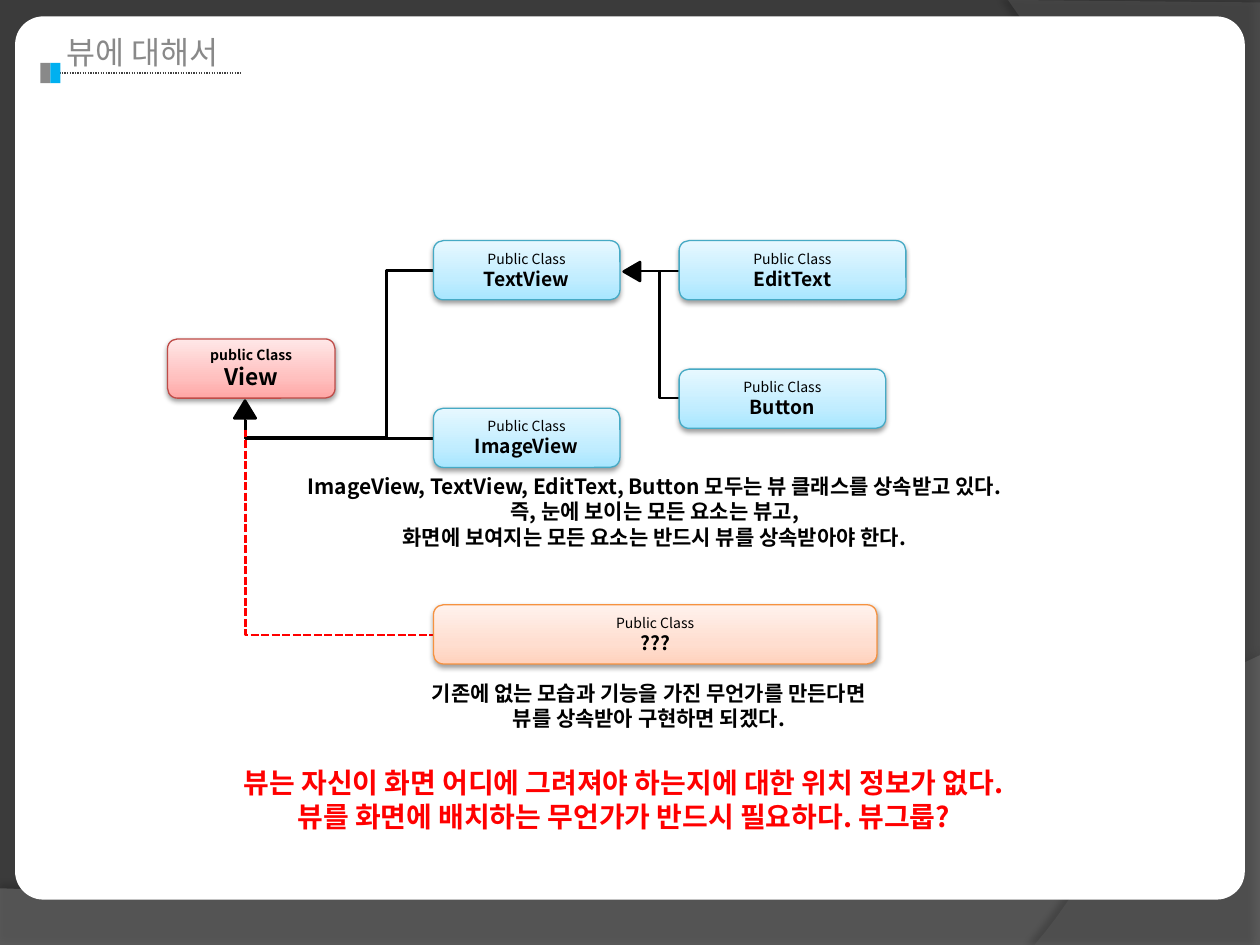
"""Build the slide about the View class and the classes that inherit from it."""
from lxml import etree
from pptx import Presentation
from pptx import util as u
from pptx.dml import color
from pptx.enum import dml, shapes, text
from pptx.oxml import ns

COLORS = {
    "back": "3B3B3B", "wave": "7F7F7F", "side": "5E5E5E", "panel": "FFFFFF",
    "title": "898989", "accent": "00B0F0", "rule": "404040",
    "ink": "000000", "alert": "FF0000",
}
BOXES = {
    "red": (("FFA6A5", "FFC0BF", "FFE7E7"), "BF4C48"),
    "blue": (("A7E6FF", "C1EDFF", "E7F8FF"), "46AAC5"),
    "orange": (("FFD2BD", "FFDED0", "FFF2ED"), "F69240"),
}
FONT = "Noto Sans CJK KR"
BOX_HEIGHT = 0.47
SHAPE = shapes.MSO_SHAPE


def rgb(name):
    """Turn a colour name or hex string into a colour."""
    return color.RGBColor.from_string(COLORS.get(name, name))


def child(parent, tag, **values):
    """Add a drawing element with attributes to a parent."""
    return etree.SubElement(parent, ns.qn("a:" + tag),
                            {key: str(value) for key, value in values.items()})


def add_shadow(shape, hex_color, alpha, blur, distance, angle):
    """Give a shape an outer shadow."""
    shape.shadow.inherit = False
    effects = shape._element.spPr.find(ns.qn("a:effectLst"))
    outer = child(effects, "outerShdw", blurRad=u.Pt(blur), dist=u.Pt(distance),
                  dir=angle * 60000, algn="ctr", rotWithShape=0)
    child(child(outer, "srgbClr", val=hex_color), "alpha", val=alpha * 1000)


def curve(start, first, second, end, steps=40):
    """List the points along a cubic curve."""
    points = []
    for step in range(1, steps + 1):
        t = step / steps
        weights = ((1 - t) ** 3, 3 * t * (1 - t) ** 2, 3 * t * t * (1 - t), t ** 3)
        points.append(tuple(
            sum(w * p[axis] for w, p in zip(weights, (start, first, second, end)))
            for axis in (0, 1)))
    return points


def add_wave(slide, points, fill, alpha, shadow):
    """Draw a translucent background outline."""
    builder = slide.shapes.build_freeform(
        *(u.Inches(value) for value in points[0]), scale=1.0)
    builder.add_line_segments(
        [(u.Inches(x), u.Inches(y)) for x, y in points[1:]], close=True)
    wave = builder.convert_to_shape()
    wave.fill.solid()
    wave.fill.fore_color.rgb = rgb(fill)
    hue = wave._element.spPr.find(ns.qn("a:solidFill"))[0]
    child(hue, "alpha", val=alpha * 1000)
    wave.line.fill.background()
    add_shadow(wave, *shadow)


def add_block(slide, kind, place, fill, outline=None, rotation=0):
    """Draw a plain filled shape."""
    block = slide.shapes.add_shape(kind, *map(u.Inches, place))
    block.shadow.inherit = False
    block.rotation = rotation
    block.fill.solid()
    block.fill.fore_color.rgb = rgb(fill)
    if outline:
        block.line.color.rgb = rgb(fill)
        block.line.width = u.Pt(outline)
    else:
        block.line.fill.background()
    return block


def write(frame, lines, align=text.PP_ALIGN.CENTER, **frame_format):
    """Fill a text frame with lines of (wording, font format)."""
    for key, value in {"word_wrap": True, **frame_format}.items():
        setattr(frame, key, value)
    for index, (wording, hue, font_format) in enumerate(lines):
        paragraph = frame.add_paragraph() if index else frame.paragraphs[0]
        paragraph.alignment = align
        run = paragraph.add_run()
        run.text = wording
        for key, value in {"name": FONT, **font_format}.items():
            setattr(run.font, key, value)
        run.font.color.rgb = rgb(hue)
        child(run._r.get_or_add_rPr(), "ea", typeface=FONT)


def add_title(slide, wording):
    """Move and format the title placeholder."""
    title = slide.shapes.title
    slide.shapes._spTree.append(title._element)
    place = {"left": 0.43, "top": 0.21, "width": 4.88, "height": 0.4}
    for key, value in place.items():
        setattr(title, key, u.Inches(value))
    write(title.text_frame,
          [(wording, "title", {"name": "Arial", "size": u.Pt(18), "bold": False})],
          text.PP_ALIGN.LEFT, vertical_anchor=text.MSO_ANCHOR.MIDDLE,
          auto_size=text.MSO_AUTO_SIZE.SHAPE_TO_FIT_TEXT)


def add_class(slide, left, top, width, name, style="blue",
              keyword="Public Class", size=11, bold=False):
    """Draw a class box with its keyword and name."""
    stops, edge = BOXES[style]
    box = slide.shapes.add_shape(
        SHAPE.ROUNDED_RECTANGLE, *map(u.Inches, (left, top, width, BOX_HEIGHT)))
    box.fill.gradient()
    box.fill.gradient_angle = 90
    stop_list = box._element.spPr.find(".//" + ns.qn("a:gsLst"))
    for stop in list(stop_list):
        stop_list.remove(stop)
    for position, hue in zip((0, 35, 100), stops):
        child(child(stop_list, "gs", pos=position * 1000), "srgbClr", val=hue)
    box.line.color.rgb = rgb(edge)
    box.line.width = u.Pt(0.75)
    add_shadow(box, "000000", 38, 3.1, 1.6, 90)
    write(box.text_frame,
          [(keyword, "ink", {"size": u.Pt(8), "bold": bold}),
           (name, "ink", {"size": u.Pt(size), "bold": True})],
          vertical_anchor=text.MSO_ANCHOR.MIDDLE)


def add_line(slide, start, end, hue="ink", width=1.5, dash=None,
             kind=shapes.MSO_CONNECTOR.STRAIGHT):
    """Draw a connector without a shadow."""
    line = slide.shapes.add_connector(kind, *map(u.Inches, (*start, *end)))
    line.line.color.rgb = rgb(hue)
    line.line.width = u.Pt(width)
    if dash:
        line.line.dash_style = dash
    child(line._element.spPr, "effectLst")
    return line


def add_elbow(slide, place, bends, turn=0, flips="", adjusts=(), **line_format):
    """Draw a bent connector from its unturned frame."""
    left, top, width, height = place
    elbow = add_line(slide, (left, top), (left + width, top + height),
                     kind=shapes.MSO_CONNECTOR.ELBOW, **line_format)
    frame = elbow._element.spPr.find(ns.qn("a:xfrm"))
    frame.set("rot", str(turn * 60000))
    for axis in flips:
        frame.set("flip" + axis, "1")
    geometry = elbow._element.spPr.find(ns.qn("a:prstGeom"))
    geometry.set("prst", f"bentConnector{bends + 1}")
    guides = geometry.find(ns.qn("a:avLst"))
    for number, share in enumerate(adjusts, 1):
        child(guides, "gd", name=f"adj{number}", fmla=f"val {round(share * 100000)}")


def add_note(slide, place, lines, size, hue="ink"):
    """Add a centred bold note."""
    note = slide.shapes.add_textbox(*map(u.Inches, place))
    write(note.text_frame,
          [(line, hue, {"size": u.Pt(size), "bold": True}) for line in lines],
          auto_size=text.MSO_AUTO_SIZE.SHAPE_TO_FIT_TEXT)


def add_backdrop(slide):
    """Draw the dark background and the white panel."""
    slide.background.fill.solid()
    slide.background.fill.fore_color.rgb = rgb("back")
    bottom = [(0, 7.05), (0, 7.51), (10, 7.51), (10, 5.2)]
    bottom += curve((10, 5.2), (5.59, 7.29), (3.91, 7.19), (0, 7.05))
    add_wave(slide, bottom, "wave", 45, ("000000", 35, 4, 3.5, 270))
    side = [(10, 0.02), (10, 7.5), (8.21, 7.5)]
    side += curve((8.21, 7.5), (9.35, 6.19), (10.18, 3), (8, 0))
    add_wave(slide, side, "side", 40, ("000000", 45, 4, 4, 180))
    panel = add_block(slide, SHAPE.ROUNDED_RECTANGLE, (0.12, 0.13, 9.76, 7.01), "panel")
    panel.adjustments[0] = 0.032


def add_heading(slide):
    """Draw the title with its rule and two-colour marker."""
    add_title(slide, "뷰에 대해서")
    add_line(slide, (0.43, 0.58), (1.91, 0.58), "rule", 0.75, dml.MSO_LINE.ROUND_DOT)
    for left, hue in ((0.32, "title"), (0.4, "accent")):
        add_block(slide, SHAPE.RECTANGLE, (left, 0.5, 0.08, 0.16), hue)


def add_hierarchy(slide):
    """Draw the class boxes and the inheritance lines."""
    add_line(slide, (5.08, 2.15), (5.55, 2.15))
    add_elbow(slide, (2.1, 1.99, 1.18, 1.49), 3, 90, "HV", (-0.124, 0.752))
    add_elbow(slide, (5.08, 2.15, 0.31, 1.01), 2, adjusts=(0.5,))
    add_elbow(slide, (2.62, 2.66, 0.15, 1.49), 1, 270, "H")
    add_elbow(slide, (1.88, 3.48, 1.63, 1.49), 1, 270, "H",
              hue="alert", dash=dml.MSO_LINE.SQUARE_DOT)
    add_block(slide, SHAPE.ISOSCELES_TRIANGLE, (1.86, 3.18, 0.17, 0.14), "ink", 1.5)
    add_block(slide, SHAPE.ISOSCELES_TRIANGLE, (4.94, 2.09, 0.15, 0.13), "ink", 1.5, 270)
    add_class(slide, 1.33, 2.69, 1.33, "View", "red", "public Class", 13, True)
    add_class(slide, 3.44, 1.91, 1.48, "TextView")
    add_class(slide, 3.44, 3.24, 1.48, "ImageView")
    add_class(slide, 5.39, 1.91, 1.8, "EditText")
    add_class(slide, 5.39, 2.93, 1.64, "Button")
    add_class(slide, 3.44, 4.8, 3.52, "???", "orange")


def main():
    """Build and save the slide."""
    deck = Presentation()
    deck.slide_width, deck.slide_height = u.Inches(10), u.Inches(7.5)
    slide = deck.slides.add_slide(deck.slide_layouts[5])
    add_backdrop(slide)
    add_heading(slide)
    add_hierarchy(slide)
    add_note(slide, (2.73, 5.35, 4.84, 0.5),
             ["기존에 없는 모습과 기능을 가진 무언가를 만든다면", "뷰를 상속받아 구현하면 되겠다."], 12)
    add_note(slide, (2.03, 3.71, 6.33, 0.71),
             ["ImageView, TextView, EditText, Button 모두는 뷰 클래스를 상속받고 있다.",
              "즉, 눈에 보이는 모든 요소는 뷰고,",
              "화면에 보여지는 모든 요소는 반드시 뷰를 상속받아야 한다."], 12)
    add_note(slide, (1.24, 6.03, 7.42, 0.64),
             ["뷰는 자신이 화면 어디에 그려져야 하는지에 대한 위치 정보가 없다.",
              "뷰를 화면에 배치하는 무언가가 반드시 필요하다. 뷰그룹?"], 16, "alert")
    deck.save("out.pptx")


if __name__ == "__main__":
    main()
